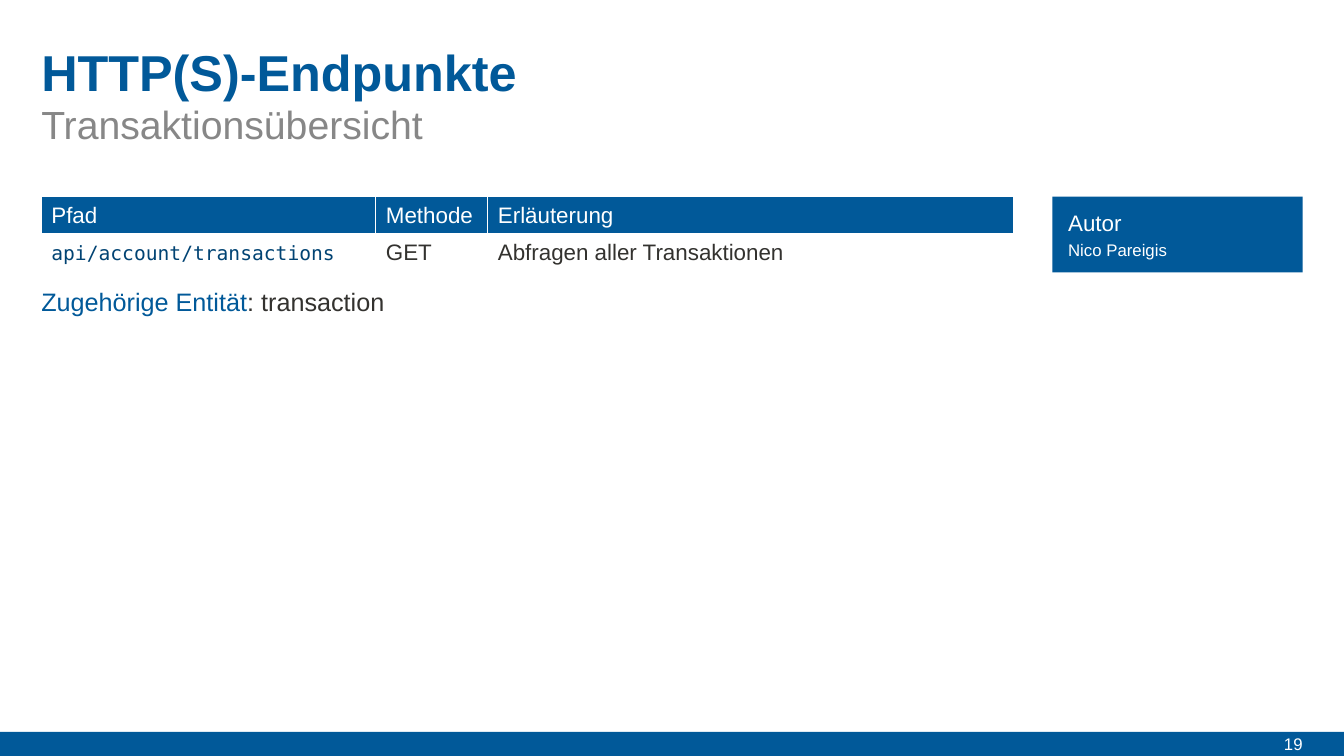
import pptx
import pptx.util
import pptx.dml.color
import pptx.enum.shapes
import pptx.enum.text

Pt = pptx.util.Pt
RGBColor = pptx.dml.color.RGBColor
PP_ALIGN = pptx.enum.text.PP_ALIGN
MSO_ANCHOR = pptx.enum.text.MSO_ANCHOR

BLUE = RGBColor(0x01, 0x59, 0x99)
CODE_BLUE = RGBColor(0x01, 0x43, 0x73)
GREY = RGBColor(0x87, 0x87, 0x87)
DARK = RGBColor(0x33, 0x32, 0x2F)
WHITE = RGBColor(0xFF, 0xFF, 0xFF)
SANS = "Arial"
MONO = "DejaVu Sans Mono"

TITLE = "HTTP(S)-Endpunkte"
SUBTITLE = "Transaktionsübersicht"
ENDPOINTS = [
    ("Pfad", "Methode", "Erläuterung"),
    ("api/account/transactions", "GET", "Abfragen aller Transaktionen"),
]
ENTITY = [("Zugehörige Entität", BLUE), (": transaction", DARK)]
AUTHOR_LABEL = "Autor"
AUTHOR = "Nico Pareigis"
PAGE = "19"

SLIDE_W, SLIDE_H = 960, 540
MARGIN = 29.5
COLUMNS = (239, 80, 375.5)
MAIN_W = sum(COLUMNS)
ROW_H = 26.6
TOP = 140.5
FOOTER_H = 17.3
FOOTER_TOP = SLIDE_H - FOOTER_H
RIGHT = SLIDE_W - MARGIN
CARD_W, CARD_H = 178.8, 54
CARD_LEFT = RIGHT - CARD_W
CARD_INSET = 11.3
CARD_TEXT_LEFT = CARD_LEFT + CARD_INSET
CARD_TEXT_W = CARD_W - 2 * CARD_INSET
PAGE_W = 53

deck = pptx.Presentation()
deck.slide_width, deck.slide_height = Pt(SLIDE_W), Pt(SLIDE_H)
slide = deck.slides.add_slide(deck.slide_layouts[6])


def style(paragraph, size, color, spacing=None, face=SANS, bold=False):
    paragraph.font.size = Pt(size)
    paragraph.font.name = face
    paragraph.font.bold = bold
    if color is not None:
        paragraph.font.color.rgb = color
    if spacing is not None:
        paragraph.line_spacing = spacing


def add_panel(left, top, width, height):
    panel = slide.shapes.add_shape(
        pptx.enum.shapes.MSO_SHAPE.RECTANGLE, Pt(left), Pt(top), Pt(width), Pt(height))
    panel.shadow.inherit = False
    panel.fill.solid()
    panel.fill.fore_color.rgb = BLUE
    panel.line.fill.background()


def add_label(left, top, width, height, runs, size, spacing=None, bold=False):
    frame = slide.shapes.add_textbox(Pt(left), Pt(top), Pt(width), Pt(height)).text_frame
    frame.margin_left = frame.margin_right = frame.margin_top = frame.margin_bottom = 0
    frame.word_wrap = True
    paragraph = frame.paragraphs[0]
    for text, color in runs:
        run = paragraph.add_run()
        run.text = text
        if len(runs) > 1:
            run.font.color.rgb = color
    style(paragraph, size, runs[0][1] if len(runs) == 1 else None, spacing, bold=bold)
    return frame


add_panel(0, FOOTER_TOP, SLIDE_W, FOOTER_H)
page = add_label(RIGHT - PAGE_W, FOOTER_TOP, PAGE_W, FOOTER_H, [(PAGE, WHITE)], 12)
page.vertical_anchor = MSO_ANCHOR.MIDDLE
page.paragraphs[0].alignment = PP_ALIGN.RIGHT

add_label(MARGIN, 29.5, MAIN_W, 44.6, [(TITLE, BLUE)], 36, bold=True)
add_label(MARGIN, 68.4, MAIN_W, 39.6, [(SUBTITLE, GREY)], 28, 1.1)

endpoints = slide.shapes.add_table(
    len(ENDPOINTS), len(COLUMNS), Pt(MARGIN), Pt(TOP),
    Pt(MAIN_W), Pt(ROW_H * len(ENDPOINTS))).table
endpoints.horz_banding = False
endpoints.first_row = False
for column, width in zip(endpoints.columns, COLUMNS):
    column.width = Pt(width)
for r, values in enumerate(ENDPOINTS):
    endpoints.rows[r].height = Pt(ROW_H)
    for c, value in enumerate(values):
        cell = endpoints.cell(r, c)
        cell.text = value
        cell.fill.solid()
        cell.fill.fore_color.rgb = BLUE if r == 0 else WHITE
        paragraph = cell.text_frame.paragraphs[0]
        if r > 0 and c == 0:
            style(paragraph, 14, CODE_BLUE, Pt(19), MONO)
        else:
            style(paragraph, 16, WHITE if r == 0 else DARK, Pt(19))

add_label(MARGIN, 203.8, MAIN_W, 22, ENTITY, 18, Pt(22))

add_panel(CARD_LEFT, TOP, CARD_W, CARD_H)
add_label(CARD_TEXT_LEFT, 149.8, CARD_TEXT_W, 19, [(AUTHOR_LABEL, WHITE)], 16, Pt(19))
add_label(CARD_TEXT_LEFT, 171.4, CARD_TEXT_W, 14, [(AUTHOR, WHITE)], 12, Pt(14))

deck.save("out.pptx")
